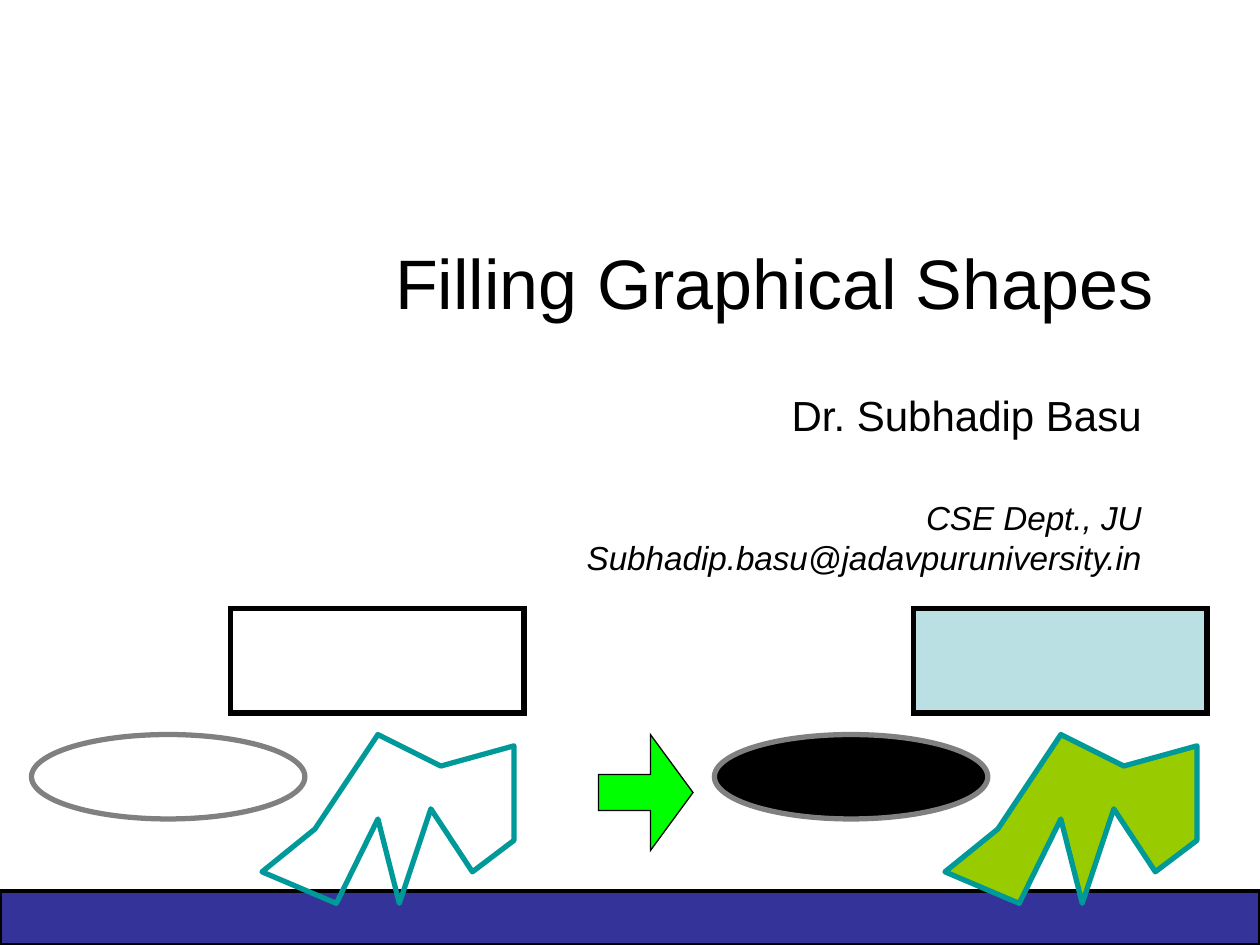
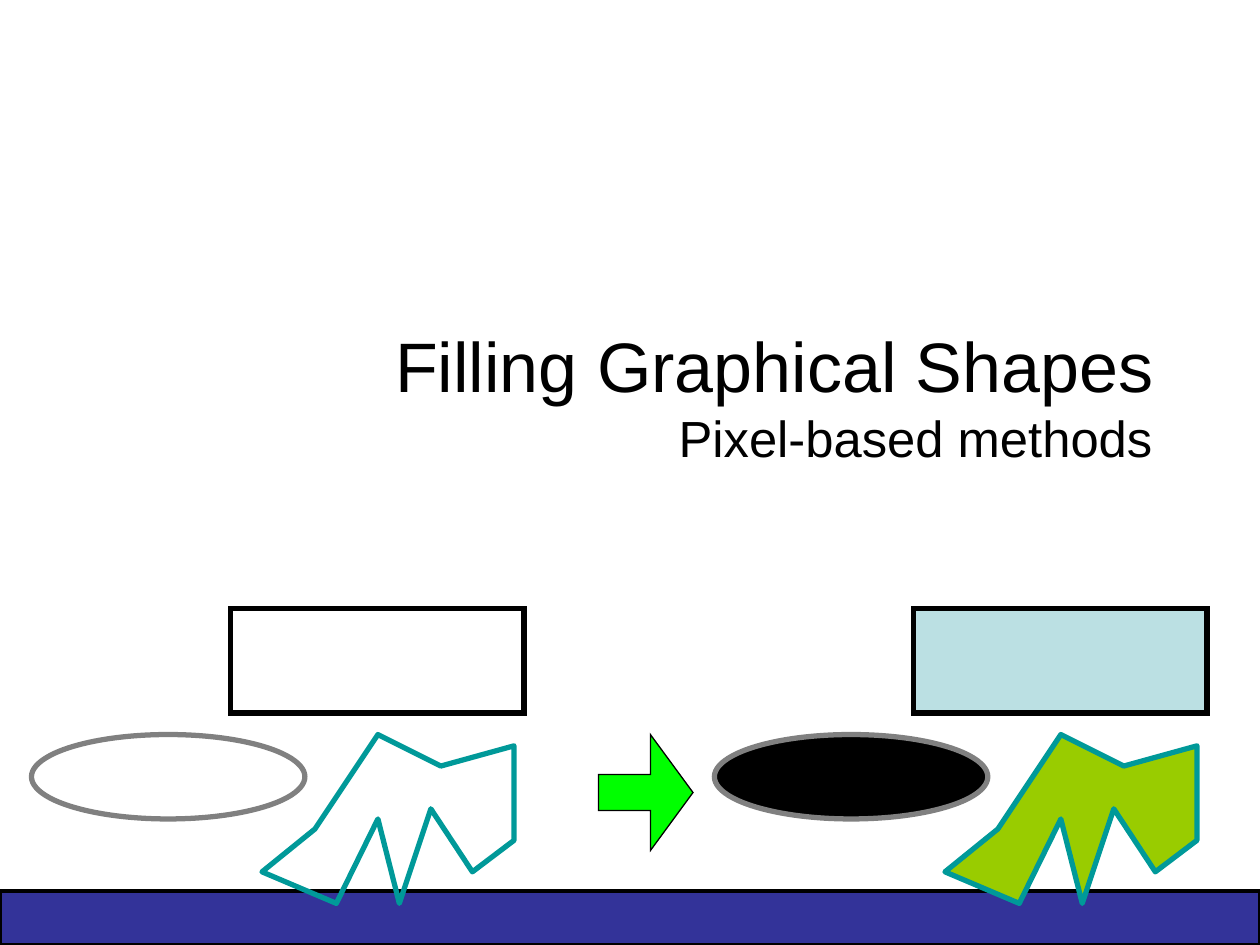
from lxml.etree import SubElement
from pptx import Presentation
from pptx.dml.color import RGBColor
from pptx.enum.shapes import MSO_SHAPE
from pptx.enum.text import MSO_ANCHOR, PP_ALIGN
from pptx.oxml.ns import qn
from pptx.util import Inches, Pt

BLACK = RGBColor(0x00, 0x00, 0x00)
GREY = RGBColor(0x80, 0x80, 0x80)
TEAL = RGBColor(0x00, 0x99, 0x99)
PALE_BLUE = RGBColor(0xBB, 0xE0, 0xE3)
LIME = RGBColor(0x99, 0xCC, 0x00)
GREEN = RGBColor(0x00, 0xFF, 0x00)
INDIGO = RGBColor(0x33, 0x33, 0x99)
FONT = "Arial"

# Content: title top and lines (text, size); author lines
# (text, size, italic, line spacing, space before)
SLIDES = [
    {"title_top": 1.43,
     "title": [("Filling Graphical Shapes", 40)],
     "author": [
         ("Dr. Subhadip Basu", 24, False, 0.9, 0),
         ("CSE Dept., JU", 19, True, 0.8, 36.5),
         ("Subhadip.basu@jadavpuruniversity.in", 19, True, 0.8, 4.8),
     ]},
    {"title_top": 2.33,
     "title": [("Filling Graphical Shapes", 40), ("Pixel-based methods", 29)],
     "author": []},
]

# Figure group, placed for the unfilled side
BOX = (1.83, 4.83, 2.33, 0.83)
OVAL = (0.25, 5.83, 2.17, 0.67)
POLYGON = [(2.5, 6.58), (3, 5.83), (3.5, 6.08), (4.08, 5.92), (4.08, 6.67),
           (3.75, 6.92), (3.42, 6.42), (3.17, 7.17), (3, 6.5), (2.67, 7.17),
           (2.08, 6.92)]
FILLED_SHIFT = 5.42
ARROW = (4.75, 5.83, 0.75, 0.92)
BAND = (0, 7.07, 10, 0.43)


def paint(shape, fill, line, width):
    shape.shadow.inherit = False
    if fill is None:
        shape.fill.background()
    else:
        shape.fill.solid()
        shape.fill.fore_color.rgb = fill
    shape.line.color.rgb = line
    shape.line.width = Pt(width)


def add_preset(slide, kind, place, fill, line, width=3, shift=0):
    left, top, wide, high = place
    shape = slide.shapes.add_shape(kind, Inches(left + shift), Inches(top),
                                   Inches(wide), Inches(high))
    paint(shape, fill, line, width)
    # Sharp outline corners
    SubElement(shape.element.spPr.find(qn("a:ln")), qn("a:miter"), lim="800000")
    return shape


def add_figures(slide, shift, box_fill, oval_fill, polygon_fill):
    add_preset(slide, MSO_SHAPE.RECTANGLE, BOX, box_fill, BLACK, shift=shift)
    add_preset(slide, MSO_SHAPE.OVAL, OVAL, oval_fill, GREY, shift=shift)
    corners = [(Inches(x + shift), Inches(y)) for x, y in POLYGON]
    outline = slide.shapes.build_freeform(*corners[0])
    outline.add_line_segments(corners[1:], close=True)
    paint(outline.convert_to_shape(), polygon_fill, TEAL, 3)


def add_text_frame(slide, left, top, wide, high, anchor):
    frame = slide.shapes.add_textbox(Inches(left), Inches(top),
                                     Inches(wide), Inches(high)).text_frame
    frame.word_wrap = True
    frame.vertical_anchor = anchor
    return frame


def style_run(run, size, italic=False):
    run.font.name = FONT
    run.font.size = Pt(size)
    run.font.italic = italic
    run.font.color.rgb = BLACK


def add_title(slide, top, lines):
    frame = add_text_frame(slide, 0.75, top, 8.5, 1.61, MSO_ANCHOR.MIDDLE)
    title = frame.paragraphs[0]
    title.text = "\v".join(text for text, _ in lines)
    title.alignment = PP_ALIGN.RIGHT
    for run, (_, size) in zip(title.runs, lines):
        style_run(run, size)


def add_author(slide, lines):
    frame = add_text_frame(slide, 2.4, 3.09, 6.76, 1.59, MSO_ANCHOR.TOP)
    frame.text = "\n".join(line[0] for line in lines)
    for paragraph, line in zip(frame.paragraphs, lines):
        _, size, italic, spacing, before = line
        paragraph.alignment = PP_ALIGN.RIGHT
        paragraph.line_spacing = spacing
        paragraph.space_before = Pt(before)
        style_run(paragraph.runs[0], size, italic)


def main():
    deck = Presentation()
    deck.slide_width, deck.slide_height = Inches(10), Inches(7.5)
    for content in SLIDES:
        slide = deck.slides.add_slide(deck.slide_layouts[6])
        # Footer band and text
        add_preset(slide, MSO_SHAPE.RECTANGLE, BAND, INDIGO, BLACK, 2)
        add_title(slide, content["title_top"], content["title"])
        if content["author"]:
            add_author(slide, content["author"])
        # Filled figures, unfilled figures and the arrow between them
        add_figures(slide, FILLED_SHIFT, PALE_BLUE, BLACK, LIME)
        add_figures(slide, 0, None, None, None)
        arrow = add_preset(slide, MSO_SHAPE.RIGHT_ARROW, ARROW, GREEN, BLACK, 0.75)
        arrow.adjustments[0] = 0.31
        arrow.adjustments[1] = 0.45 * ARROW[2] / min(ARROW[2:])
    deck.save("out.pptx")


if __name__ == "__main__":
    main()
